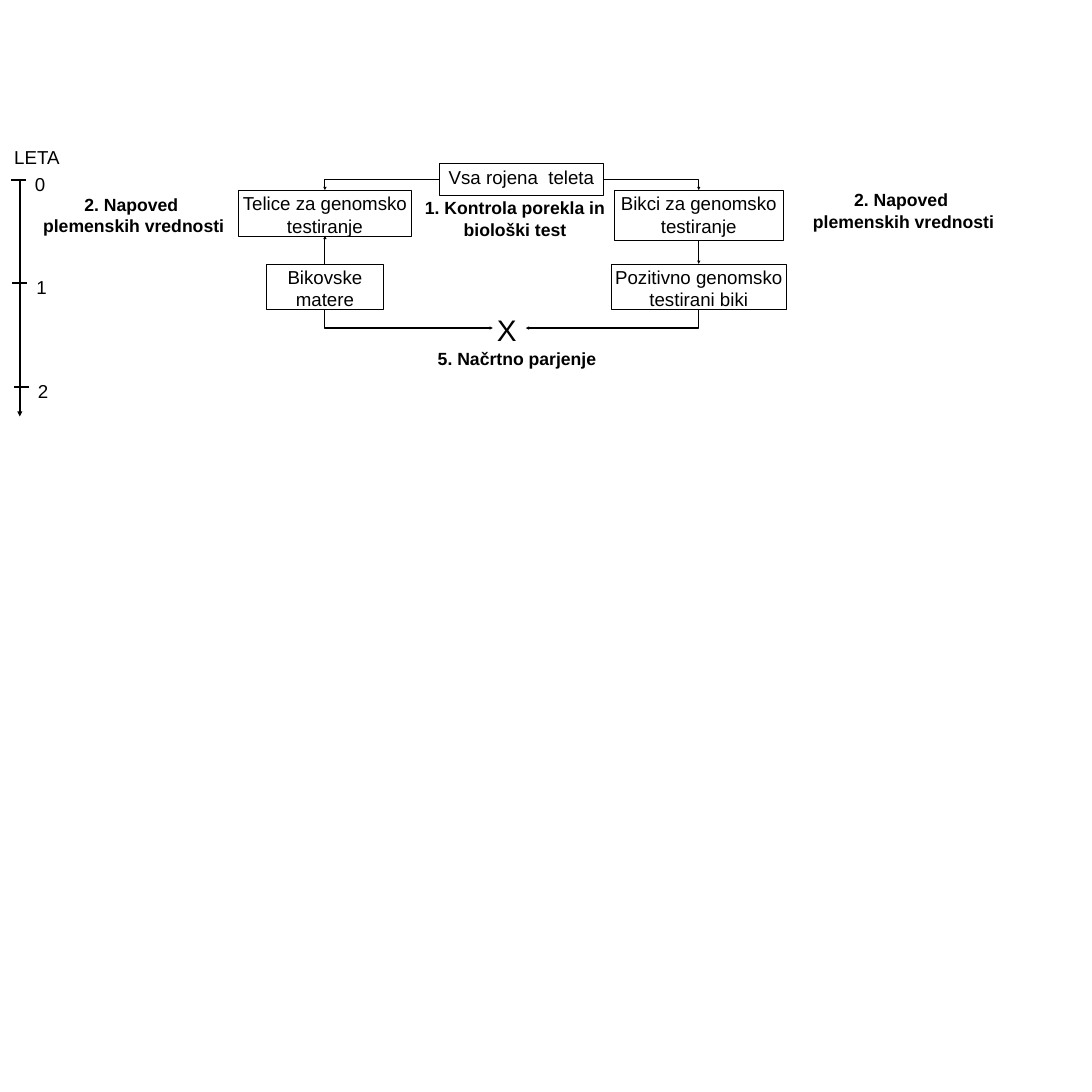
"""Build the slide on genomic testing and planned mating of cattle."""
from dataclasses import dataclass

from lxml import etree
from pptx import Presentation
from pptx.dml.color import RGBColor
from pptx.enum.shapes import MSO_CONNECTOR, MSO_SHAPE
from pptx.enum.text import MSO_ANCHOR, PP_ALIGN
from pptx.oxml.ns import qn
from pptx.shapes.autoshape import Shape
from pptx.shapes.connector import Connector
from pptx.util import Inches, Pt

STRAIGHT, ELBOW = MSO_CONNECTOR.STRAIGHT, MSO_CONNECTOR.ELBOW
RECTANGLE = MSO_SHAPE.RECTANGLE
LEFT, CENTER = PP_ALIGN.LEFT, PP_ALIGN.CENTER
TOP = MSO_ANCHOR.TOP
BLACK = RGBColor(0, 0, 0)
WHITE = RGBColor(255, 255, 255)
FONT = "Arial"
HEAD, TAIL = "a:headEnd", "a:tailEnd"
TOP_SIDE, LEFT_SIDE, BOTTOM_SIDE, RIGHT_SIDE = range(4)
AXIS_X, AXIS_TOP, AXIS_BOTTOM = 0.5, 4.54, 10.51
YEAR_STEP, YEAR_SHIFT = 2.61, 0.04


@dataclass(frozen=True)
class Label:
    """Text with its place and look."""
    text: str
    left: float
    top: float
    width: float
    height: float
    size: int = 34
    bold: bool = False
    align: PP_ALIGN = CENTER
    filled: bool = True
    outlined: bool = True


@dataclass(frozen=True)
class Link:
    """Arrow between the sides of two boxes."""
    start: str
    start_side: int
    end: str
    end_side: int
    kind: MSO_CONNECTOR
    arrow: str = TAIL


BOXES = {
    "calves": Label("Vsa rojena  teleta", 11.09, 4.13, 4.14, 0.79),
    "dams": Label("Bikovske matere", 6.72, 6.66, 2.96, 1.15, filled=False),
    "bulls": Label("Bikci za genomsko testiranje", 15.51, 4.8, 4.25, 1.27),
    "positive": Label("Pozitivno genomsko testirani biki", 15.42, 6.66, 4.43, 1.15, filled=False),
    "mating": Label("X", 12.44, 7.81, 0.83, 0.94, 54, align=LEFT, outlined=False),
    "heifers": Label("Telice za genomsko testiranje", 6.01, 4.8, 4.38, 1.15),
}
FORECAST = "2. Napoved \vplemenskih vrednosti"
NOTES = [
    Label("1. Kontrola porekla in biološki test", 10.58, 4.93, 4.84, 1.59, 32, True),
    Label(FORECAST, 19.43, 4.73, 6.75, 1.1, 32, True),
    Label(FORECAST, 0, 4.85, 6.75, 1.1, 32, True),
    Label("5. Načrtno parjenje", 10.54, 8.74, 5.02, 0.72, 32, True),
    Label("LETA", 0.26, 3.64, 2.03, 0.63, align=LEFT),
]
LINKS = [
    Link("calves", RIGHT_SIDE, "bulls", TOP_SIDE, ELBOW),
    Link("calves", LEFT_SIDE, "heifers", TOP_SIDE, ELBOW),
    Link("mating", LEFT_SIDE, "dams", BOTTOM_SIDE, ELBOW, HEAD),
    Link("mating", RIGHT_SIDE, "positive", BOTTOM_SIDE, ELBOW, HEAD),
    Link("bulls", BOTTOM_SIDE, "positive", TOP_SIDE, STRAIGHT),
    Link("dams", TOP_SIDE, "heifers", BOTTOM_SIDE, STRAIGHT),
]


def place(label: Label) -> list[int]:
    """Return the left, top, width and height of a label."""
    return [Inches(v) for v in (label.left, label.top, label.width, label.height)]


def write(shape: Shape, label: Label) -> None:
    """Fill a shape with the text of a label."""
    frame = shape.text_frame
    frame.word_wrap = True
    frame.vertical_anchor = TOP
    frame.text = label.text
    para = frame.paragraphs[0]
    para.alignment = label.align
    para.font.name = FONT
    para.font.size = Pt(label.size)
    para.font.bold = label.bold
    para.font.color.rgb = BLACK


def add_note(shapes, label: Label) -> None:
    """Add plain text."""
    write(shapes.add_textbox(*place(label)), label)


def add_box(shapes, label: Label) -> Shape:
    """Add a rectangle with text."""
    box = shapes.add_shape(RECTANGLE, *place(label))
    box.shadow.inherit = False
    if label.filled:
        box.fill.solid()
        box.fill.fore_color.rgb = WHITE
    else:
        box.fill.background()
    if label.outlined:
        box.line.color.rgb = BLACK
        box.line.width = Pt(0)
    else:
        box.line.fill.background()
    write(box, label)
    return box


def style_line(line: Connector, width: float, arrow: str = "") -> None:
    """Colour a connector, drop its shadow and add an arrowhead."""
    line.line.color.rgb = BLACK
    line.line.width = Pt(width)
    if arrow:
        etree.SubElement(line.get_or_add_ln(), qn(arrow), type="triangle")
    etree.SubElement(line.element.spPr, qn("a:effectLst"))


def add_line(shapes, x1: float, y1: float, x2: float, y2: float, arrow: str = "") -> None:
    """Add a straight line of the time axis."""
    ends = [Inches(v) for v in (x1, y1, x2, y2)]
    style_line(shapes.add_connector(STRAIGHT, *ends), 3, arrow)


def add_link(shapes, link: Link, boxes: dict[str, Shape]) -> None:
    """Join two boxes by an arrow."""
    line = shapes.add_connector(link.kind, 0, 0, 0, 0)
    line.begin_connect(boxes[link.start], link.start_side)
    line.end_connect(boxes[link.end], link.end_side)
    if link.kind == ELBOW:
        line.element.spPr.find(qn("a:prstGeom")).set("prst", "bentConnector2")
    style_line(line, 0, link.arrow)


def add_year(shapes, year: int) -> None:
    """Add the tick and number of one year."""
    group = shapes.add_group_shape().shapes
    shift = year * YEAR_SHIFT
    y = AXIS_TOP + year * YEAR_STEP
    add_line(group, 0.27 + shift, y, 0.65 + shift, y)
    add_note(group, Label(str(year), 0.78 + shift, y - 0.23, 0.64, 0.63, align=LEFT))


def main() -> None:
    """Build and save the deck."""
    deck = Presentation()
    deck.slide_width = deck.slide_height = Inches(27.56)
    shapes = deck.slides.add_slide(deck.slide_layouts[6]).shapes
    boxes = {name: add_box(shapes, label) for name, label in BOXES.items()}
    for note in NOTES:
        add_note(shapes, note)
    add_line(shapes, AXIS_X, AXIS_TOP, AXIS_X, AXIS_BOTTOM, TAIL)
    for year in range(3):
        add_year(shapes, year)
    for link in LINKS:
        add_link(shapes, link, boxes)
    deck.save("out.pptx")


if __name__ == "__main__":
    main()
